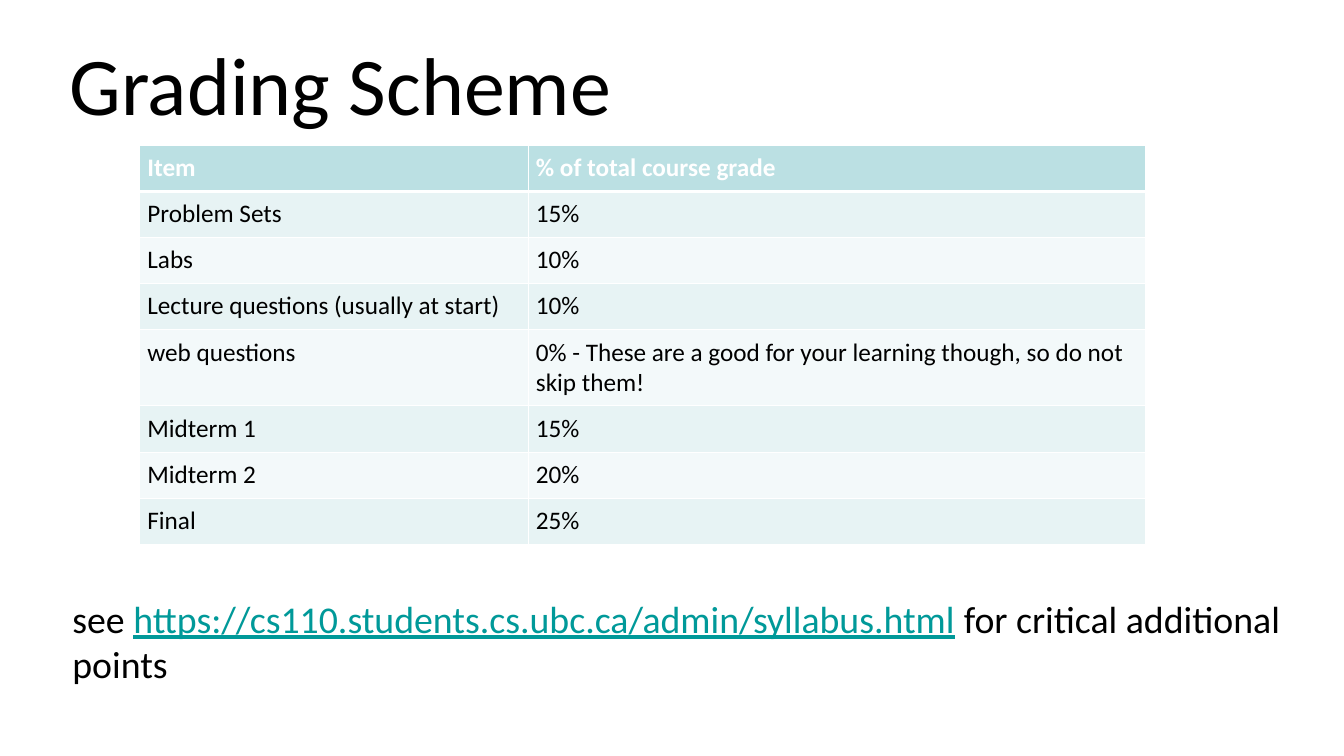
from lxml import etree
from pptx import Presentation
from pptx.dml.color import RGBColor
from pptx.enum.text import MSO_ANCHOR
from pptx.oxml.ns import qn
from pptx.util import Inches, Pt

MIDDLE = MSO_ANCHOR.MIDDLE
BLACK, WHITE, LINK = "000000", "FFFFFF", "009999"
HEADER, BANDS = "BBE0E3", ("E7F3F4", "F3F9FA")


def rgb(value):
    return RGBColor.from_string(value)


def add_run(p, text, color, **formats):
    r = p.add_run()
    r.text = text
    r.font.color.rgb = rgb(color)
    for name, value in {"name": "Calibri", **formats}.items():
        setattr(r.font, name, value)


prs = Presentation()
prs.slide_width, prs.slide_height = Inches(17.78), Inches(10)
s = prs.slides.add_slide(prs.slide_layouts[6])
left = Inches(0.86)

# Title
sp = s.shapes.add_textbox(left, Inches(0.26), Inches(14.31), Inches(1.66))
tf = sp.text_frame
tf.word_wrap = True
tf.vertical_anchor = MIDDLE
for side in ("left", "top", "right", "bottom"):
    setattr(tf, f"margin_{side}", Inches(0.06))
add_run(tf.paragraphs[0], "Grading Scheme", BLACK, size=Pt(78))

# Grading table
rows = [
    ("Item", "% of total course grade"),
    ("Problem Sets", "15%"),
    ("Labs", "10%"),
    ("Lecture questions (usually at start)", "10%"),
    ("web questions", "0% - These are a good for your learning though, so do not skip them!"),
    ("Midterm 1", "15%"),
    ("Midterm 2", "20%"),
    ("Final", "25%"),
]
col_widths = (5.14, 8.16)
row_heights = [1.01 if len(grade) > 60 else 0.61 for item, grade in rows]
table = s.shapes.add_table(len(rows), len(col_widths), Inches(1.85), Inches(1.92),
                           Inches(sum(col_widths)), Inches(sum(row_heights))).table
for column, width in zip(table.columns, col_widths):
    column.width = Inches(width)
for i, (texts, height) in enumerate(zip(rows, row_heights)):
    table.rows[i].height = Inches(height)
    header = i == 0
    for j, text in enumerate(texts):
        cell = table.cell(i, j)
        for side in ("left", "top", "right", "bottom"):
            setattr(cell, f"margin_{side}", Inches(0.1))
        add_run(cell.text_frame.paragraphs[0], text, WHITE if header else BLACK,
                size=Pt(24), bold=header)
        # White cell borders, thicker under the header; they precede the fill
        tcPr = cell._tc.get_or_add_tcPr()
        for edge in ("L", "R", "T", "B"):
            thick = (header and edge == "B") or (i == 1 and edge == "T")
            ln = etree.SubElement(tcPr, qn(f"a:ln{edge}"), w=str(Pt(3 if thick else 1)))
            fill = etree.SubElement(ln, qn("a:solidFill"))
            etree.SubElement(fill, qn("a:srgbClr"), val=WHITE)
        cell.fill.solid()
        cell.fill.fore_color.rgb = rgb(HEADER if header else BANDS[(i - 1) % 2])

# Syllabus note
sp = s.shapes.add_textbox(left, Inches(7.83), Inches(16.3), Inches(1.31))
tf = sp.text_frame
tf.word_wrap = True
p = tf.paragraphs[0]
add_run(p, "see ", BLACK, size=Pt(36))
add_run(p, "https://cs110.students.cs.ubc.ca/admin/syllabus.html", LINK, size=Pt(36), underline=True)
add_run(p, " for critical additional points", BLACK, size=Pt(36))

prs.save("out.pptx")
